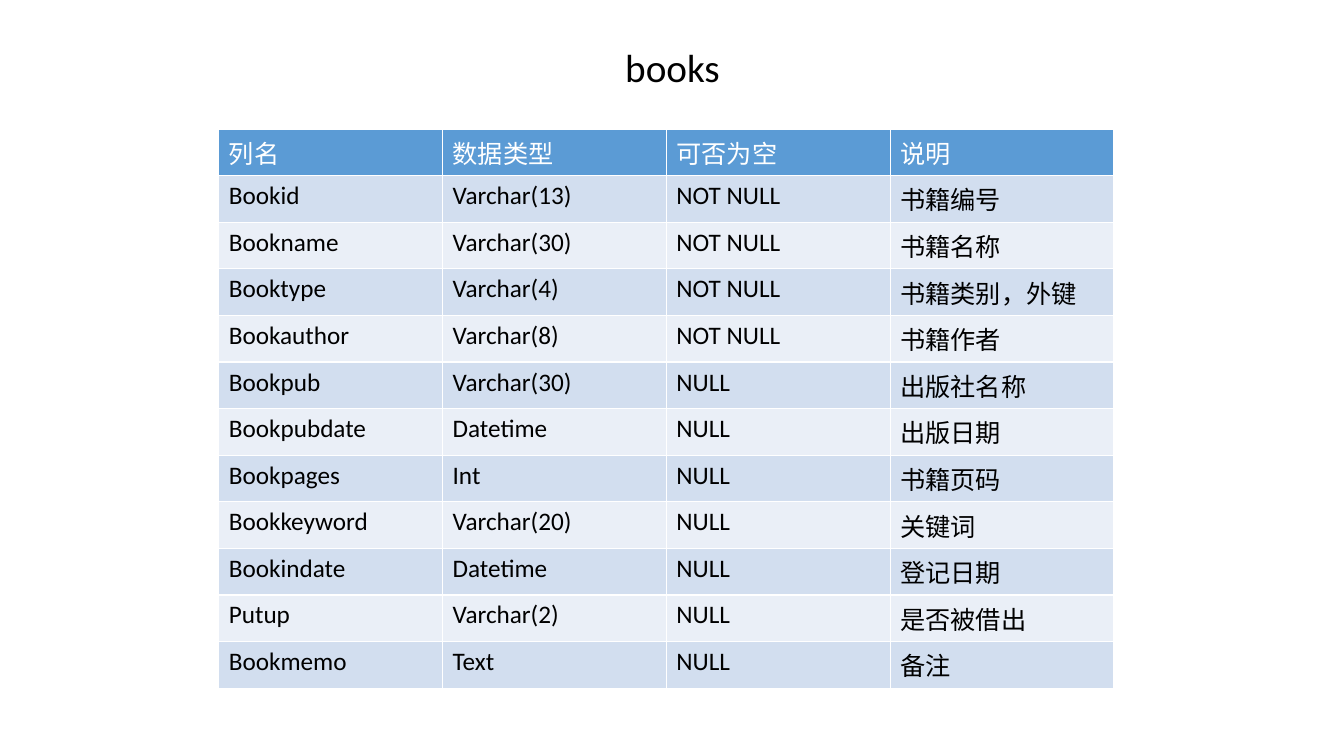
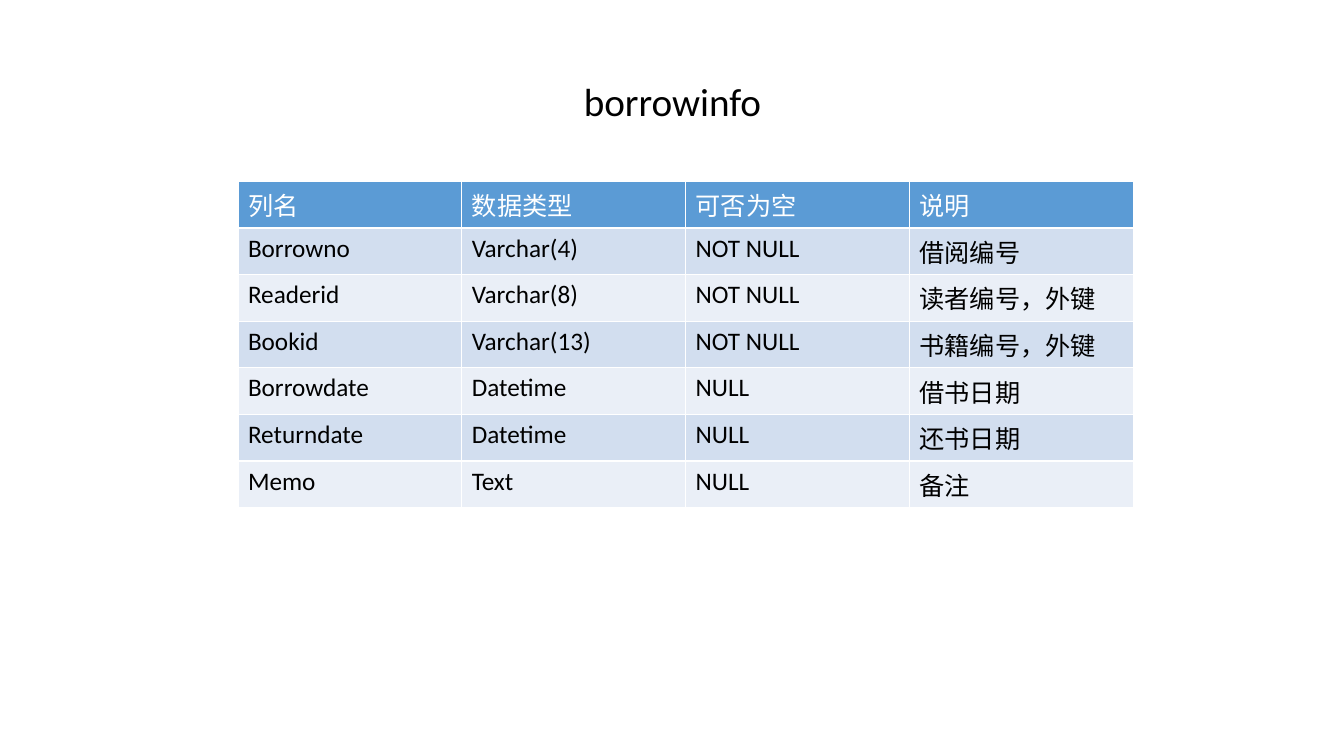
"""Build two slides that describe the columns of library database tables."""
from pptx import Presentation
from pptx.dml.color import RGBColor
from pptx.enum.text import MSO_ANCHOR, PP_ALIGN
from pptx.util import Inches, Pt

FONT = "Calibri"
BLACK, WHITE = "000000", "FFFFFF"
HEADER_FILL = "5B9BD5"
BAND_FILLS = ["EAEFF7", "D2DEEF"]
COL_W, ROW_H = 2.22, 0.41
HEADER = ("列名", "数据类型", "可否为空", "说明")

BOOKS = [
    ("Bookid", "Varchar(13)", "NOT NULL", "书籍编号"),
    ("Bookname", "Varchar(30)", "NOT NULL", "书籍名称"),
    ("Booktype", "Varchar(4)", "NOT NULL", "书籍类别，外键"),
    ("Bookauthor", "Varchar(8)", "NOT NULL", "书籍作者"),
    ("Bookpub", "Varchar(30)", "NULL", "出版社名称"),
    ("Bookpubdate", "Datetime", "NULL", "出版日期"),
    ("Bookpages", "Int", "NULL", "书籍页码"),
    ("Bookkeyword", "Varchar(20)", "NULL", "关键词"),
    ("Bookindate", "Datetime", "NULL", "登记日期"),
    ("Putup", "Varchar(2)", "NULL", "是否被借出"),
    ("Bookmemo", "Text", "NULL", "备注"),
]
BORROWINFO = [
    ("Borrowno", "Varchar(4)", "NOT NULL", "借阅编号"),
    ("Readerid", "Varchar(8)", "NOT NULL", "读者编号，外键"),
    ("Bookid", "Varchar(13)", "NOT NULL", "书籍编号，外键"),
    ("Borrowdate", "Datetime", "NULL", "借书日期"),
    ("Returndate", "Datetime", "NULL", "还书日期"),
    ("Memo", "Text", "NULL", "备注"),
]
SLIDES = [
    ("books", 0.39, 2.17, 1.28, BOOKS),
    ("borrowinfo", 0.72, 2.36, 1.8, BORROWINFO),
]


def rgb(color):
    return RGBColor.from_string(color)


def add_run(p, text, size, color):
    r = p.add_run()
    r.text = text
    r.font.name = FONT
    r.font.size = Pt(size)
    r.font.bold = False
    r.font.color.rgb = rgb(color)


prs = Presentation()
prs.slide_width, prs.slide_height = Inches(13.33), Inches(7.5)

for name, title_top, left, top, columns in SLIDES:
    s = prs.slides.add_slide(prs.slide_layouts[5])

    title = s.shapes.title
    title.left, title.top = Inches(2.17), Inches(title_top)
    title.width, title.height = Inches(9), Inches(0.61)
    tf = title.text_frame
    tf.vertical_anchor = MSO_ANCHOR.MIDDLE
    p = tf.paragraphs[0]
    p.alignment = PP_ALIGN.CENTER
    p.line_spacing = 0.9
    add_run(p, name, 28, BLACK)

    rows = [HEADER] + columns
    table = s.shapes.add_table(
        len(rows), len(HEADER), Inches(left), Inches(top),
        Inches(COL_W * len(HEADER)), Inches(ROW_H * len(rows))).table
    for col in table.columns:
        col.width = Inches(COL_W)
    for i, row in enumerate(rows):
        table.rows[i].height = Inches(ROW_H)
        fill = BAND_FILLS[i % 2] if i else HEADER_FILL
        color = BLACK if i else WHITE
        for j, text in enumerate(row):
            cell = table.cell(i, j)
            cell.fill.solid()
            cell.fill.fore_color.rgb = rgb(fill)
            add_run(cell.text_frame.paragraphs[0], text, 18, color)

prs.save("out.pptx")
